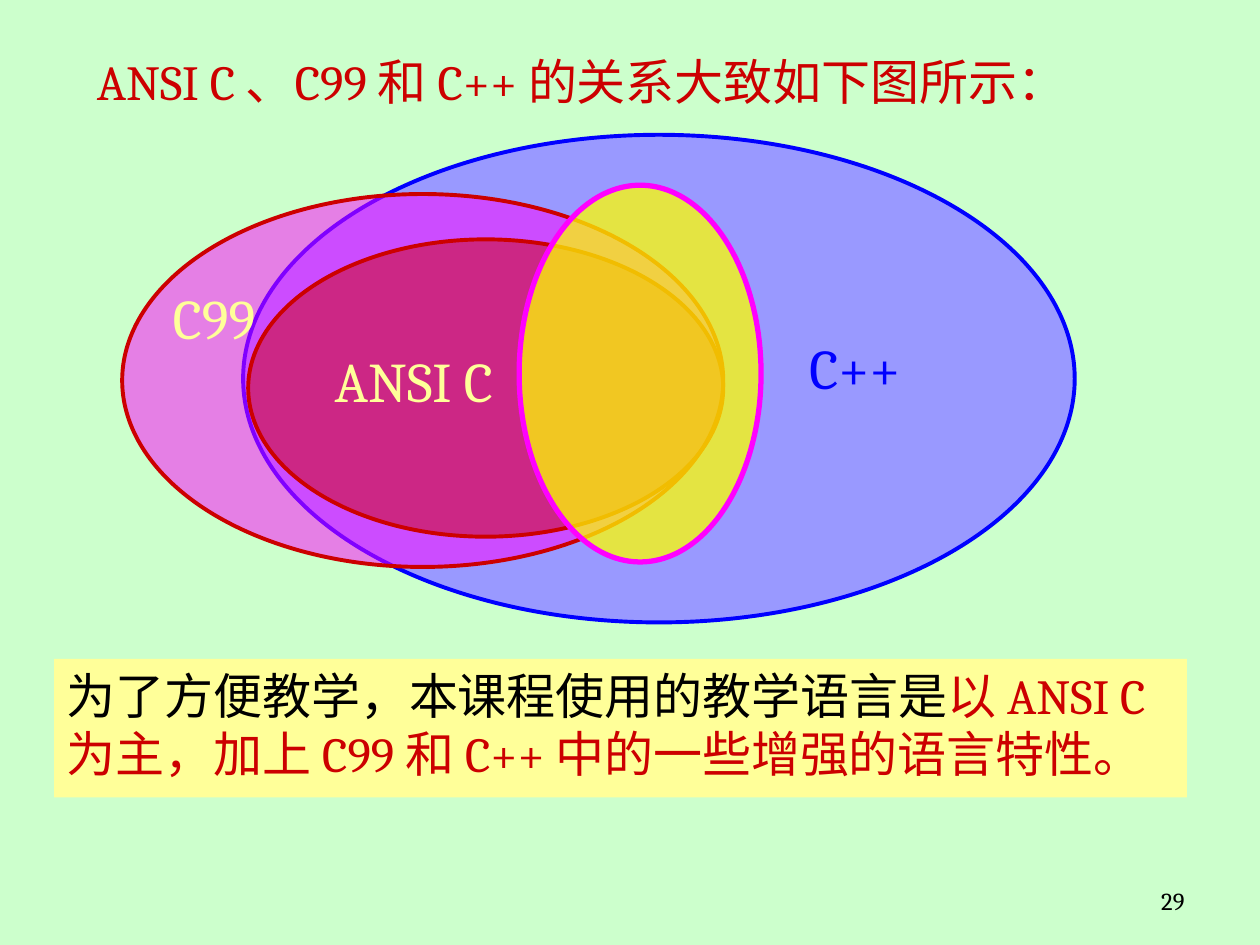
from dataclasses import dataclass

from lxml.etree import SubElement
from pptx import Presentation
from pptx.dml.color import RGBColor
from pptx.enum.shapes import MSO_SHAPE
from pptx.enum.text import MSO_ANCHOR, PP_ALIGN
from pptx.oxml.ns import qn
from pptx.util import Inches, Pt


@dataclass(frozen=True)
class Theme:
    font: str = "Cambria"
    background: str = "CCFFCC"
    black: str = "000000"
    red: str = "CC0000"
    blue: str = "0000FF"
    lavender: str = "9999FF"
    magenta: str = "FF00FF"
    yellow: str = "FFFF00"
    cream: str = "FFFF99"
    body_size: int = 28
    label_size: int = 32
    number_size: int = 14


THEME = Theme()


def apply_format(target, values):
    for name, value in values.items():
        setattr(target, name, value)


def fill_solid(fill, color, opacity=100):
    fill.solid()
    fill.fore_color.rgb = RGBColor.from_string(color)
    if opacity < 100:
        color_element = fill._xPr.find(qn("a:solidFill"))[0]
        SubElement(color_element, qn("a:alpha"), val=str(opacity * 1000))


def add_filled_shape(slide, kind, box, color, opacity=100):
    shape = slide.shapes.add_shape(kind, *map(Inches, box))
    shape.shadow.inherit = False
    fill_solid(shape.fill, color, opacity)
    shape.line.fill.background()
    return shape


def add_language_set(slide, box, color, opacity, outline, width=2.25):
    shape = add_filled_shape(slide, MSO_SHAPE.OVAL, box, color, opacity)
    fill_solid(shape.line.fill, outline)
    shape.line.width = Pt(width)


def write_text(shape, runs, size, alignment=PP_ALIGN.LEFT):
    frame = shape.text_frame
    apply_format(frame, {"word_wrap": True, "vertical_anchor": MSO_ANCHOR.TOP})
    paragraph = frame.paragraphs[0]
    paragraph.alignment = alignment
    for text, color in runs:
        run = paragraph.add_run()
        run.text = text
        apply_format(run.font, {"name": THEME.font, "size": Pt(size)})
        run.font.color.rgb = RGBColor.from_string(color)


def add_text(slide, box, text, size, color, alignment=PP_ALIGN.LEFT):
    shape = slide.shapes.add_textbox(*map(Inches, box))
    write_text(shape, [(text, color)], size, alignment)


def main():
    presentation = Presentation()
    apply_format(presentation, {"slide_width": Inches(10), "slide_height": Inches(7.5)})
    slide = presentation.slides.add_slide(presentation.slide_layouts[6])
    fill_solid(slide.background.fill, THEME.background)

    add_language_set(slide, (1.93, 1.07, 6.6, 3.87), THEME.lavender, 100, THEME.blue)
    add_language_set(slide, (0.97, 1.54, 4.77, 2.96), THEME.magenta, 50, THEME.red)
    add_language_set(slide, (1.97, 1.9, 3.77, 2.36), THEME.red, 48, THEME.red)
    add_language_set(slide, (4.12, 1.47, 1.92, 2.99), THEME.yellow, 74, THEME.magenta, 3)

    labels = [
        ("C++", (5.98, 2.6, 1.61, 0.64), THEME.blue),
        ("ANSI C", (2.46, 2.7, 1.65, 0.64), THEME.cream),
        ("C99", (1.02, 2.2, 1.36, 0.64), THEME.cream),
    ]
    for text, box, color in labels:
        add_text(slide, box, text, THEME.label_size, color, PP_ALIGN.CENTER)

    note = add_filled_shape(slide, MSO_SHAPE.RECTANGLE, (0.43, 5.23, 8.99, 1.1), THEME.cream)
    note_runs = [
        ("为了方便教学，本课程使用的教学语言是", THEME.black),
        ("以 ANSI C 为主，加上 C99 和 C++ 中的一些增强的语言特性。", THEME.red),
    ]
    write_text(note, note_runs, THEME.body_size)

    add_text(slide, (0.67, 0.36, 8.75, 0.57), "ANSI C 、C99 和 C++ 的关系大致如下图所示：",
             THEME.body_size, THEME.red)
    add_text(slide, (7.17, 6.98, 2.33, 0.37), "29", THEME.number_size,
             THEME.black, PP_ALIGN.RIGHT)
    presentation.save("out.pptx")


if __name__ == "__main__":
    main()
